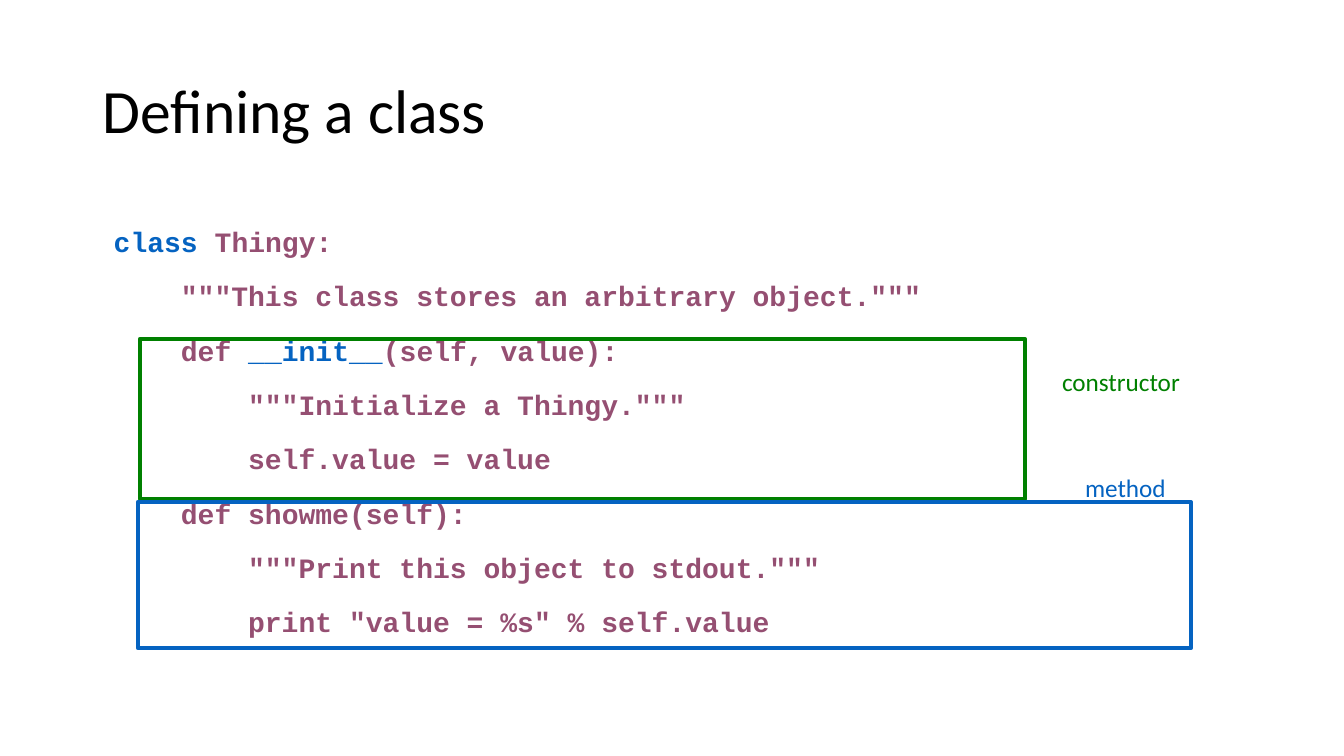
import lxml.etree
import pptx
import pptx.dml.color
import pptx.enum.shapes
import pptx.enum.text
import pptx.oxml.ns
import pptx.util

Pt = pptx.util.Pt
BLACK = pptx.dml.color.RGBColor(0x00, 0x00, 0x00)
BLUE = pptx.dml.color.RGBColor(0x05, 0x63, 0xC1)
PURPLE = pptx.dml.color.RGBColor(0x95, 0x4F, 0x72)
GREEN = pptx.dml.color.RGBColor(0x00, 0x80, 0x00)

INDENT = 48
CODE_FONT = {"name": "Courier New", "size": Pt(20), "bold": True}
TITLE_FONT = {"name": "Calibri", "size": Pt(44)}
LABEL_FONT = {"name": "Calibri", "size": Pt(18)}
CODE_SPACING = {"line_spacing": 1.2, "space_before": Pt(10), "space_after": Pt(0)}
TITLE_SPACING = {"line_spacing": 0.9, "space_before": Pt(0)}
LABEL_SPACING = {"space_before": Pt(9)}

CODE_LINES = [
    (0, [("class ", BLUE), ("Thingy:", PURPLE)]),
    (1, [('"""This class stores an arbitrary object."""', PURPLE)]),
    (1, [("def ", PURPLE), ("__init__", BLUE), ("(self, value):", PURPLE)]),
    (2, [('"""Initialize a Thingy."""', PURPLE)]),
    (2, [("self.value = value", PURPLE)]),
    (1, [("def showme(self):", PURPLE)]),
    (2, [('"""Print this object to stdout."""', PURPLE)]),
    (2, [('print "value = %s" % self.value', PURPLE)]),
]

REGIONS = [
    ("constructor", GREEN, (100, 242, 632, 114.5), (651.5, -84)),
    ("method", BLUE, (98.5, 358.5, 752, 104.5), (669.5, -25)),
]


def apply(target, values):
    for name, value in values.items():
        setattr(target, name, value)


def place(shape, box):
    apply(shape, dict(zip(("left", "top", "width", "height"), map(Pt, box))))


def write(para, spans, font, spacing):
    apply(para, {"alignment": pptx.enum.text.PP_ALIGN.LEFT, **spacing})
    for text, color in spans:
        span = para.add_run()
        span.text = text
        apply(span.font, font)
        span.font.color.rgb = color


def build_title(page, box):
    title = page.shapes.title
    place(title, box)
    apply(title.text_frame, {
        "word_wrap": True,
        "auto_size": pptx.enum.text.MSO_AUTO_SIZE.NONE,
        "vertical_anchor": pptx.enum.text.MSO_ANCHOR.MIDDLE,
    })
    write(title.text_frame.paragraphs[0], [("Defining a class", BLACK)],
          TITLE_FONT, TITLE_SPACING)


def build_code(page, box):
    body = page.placeholders[1]
    place(body, box)
    frame = body.text_frame
    apply(frame, {
        "word_wrap": True,
        "auto_size": pptx.enum.text.MSO_AUTO_SIZE.NONE,
        "vertical_anchor": pptx.enum.text.MSO_ANCHOR.TOP,
    })
    for index, (level, spans) in enumerate(CODE_LINES):
        para = frame.add_paragraph() if index else frame.paragraphs[0]
        write(para, spans, CODE_FONT, CODE_SPACING)
        properties = para._p.get_or_add_pPr()
        properties.set("marL", str(Pt(INDENT * level)))
        properties.set("indent", "0")
        lxml.etree.SubElement(properties, pptx.oxml.ns.qn("a:buNone"))


def build_region(page, name, color, box, label_offset):
    left, top, width, height = box
    label_left, rise = label_offset
    outline = page.shapes.add_shape(
        pptx.enum.shapes.MSO_SHAPE.RECTANGLE, *map(Pt, box))
    outline.shadow.inherit = False
    outline.fill.background()
    outline.line.color.rgb = color
    outline.line.width = Pt(3)
    label_top = top + height / 2 + rise + (42.5 if name == "constructor" else -52)
    label = page.shapes.add_textbox(
        Pt(left + label_left), Pt(label_top), Pt(184), Pt(29))
    apply(label.text_frame, {
        "word_wrap": True,
        "auto_size": pptx.enum.text.MSO_AUTO_SIZE.SHAPE_TO_FIT_TEXT,
    })
    write(label.text_frame.paragraphs[0], [(name, color)],
          LABEL_FONT, LABEL_SPACING)


def main():
    deck = pptx.Presentation()
    apply(deck, {"slide_width": Pt(960), "slide_height": Pt(540)})
    page = deck.slides.add_slide(deck.slide_layouts[1])
    build_title(page, (66, 29, 828, 104))
    build_code(page, (74, 152, 820, 318))
    for region in REGIONS:
        build_region(page, *region)
    deck.save("out.pptx")


if __name__ == "__main__":
    main()
